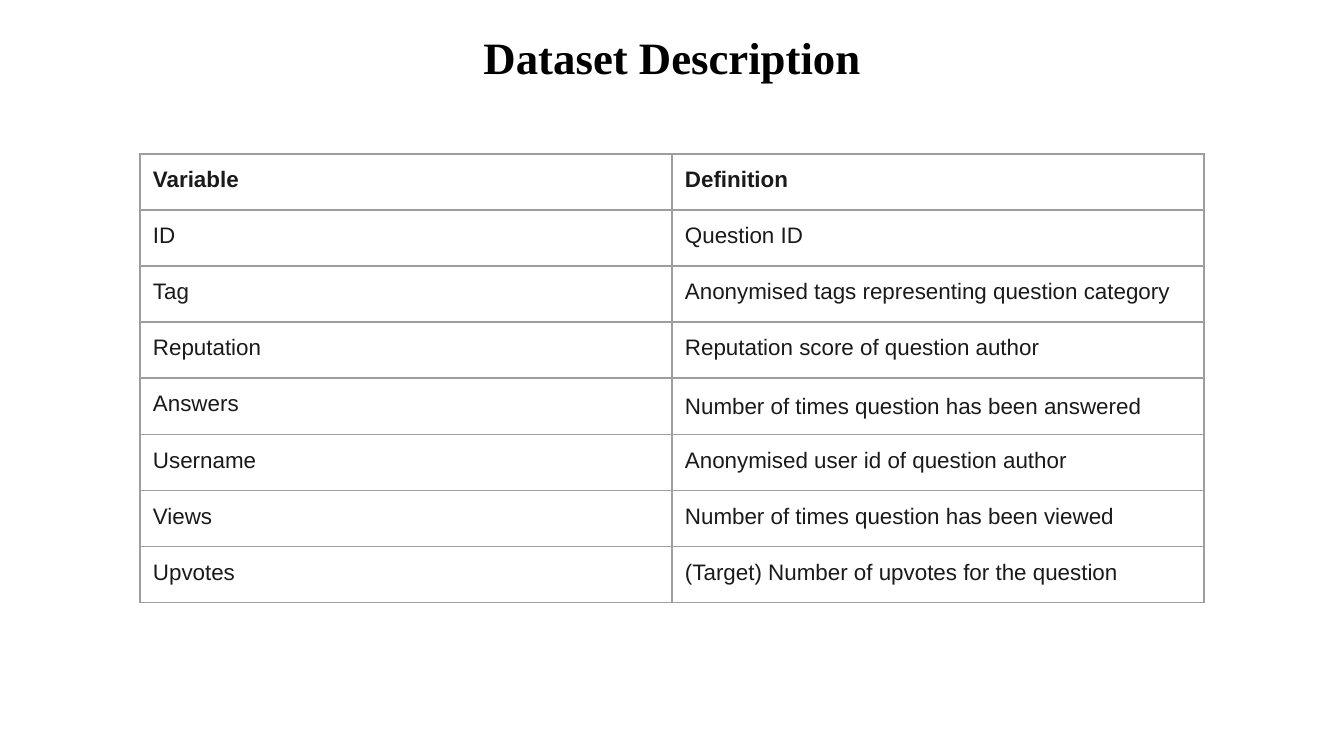
from pptx import Presentation
from pptx.dml.color import RGBColor
from pptx.enum.text import MSO_ANCHOR as Anchor, PP_ALIGN as Align
from pptx.oxml import parse_xml
from pptx.oxml.ns import nsdecls
from pptx.util import Pt

EMU_PER_PIXEL = 914400 / 134.4
BLACK = RGBColor(0x00, 0x00, 0x00)
INK = RGBColor(0x1A, 0x1A, 0x1A)
WHITE = RGBColor(0xFF, 0xFF, 0xFF)
GRID = RGBColor(0x9E, 0x9E, 0x9E)
INSET = 13

TITLE_FONT = {"name": "Times New Roman", "size": Pt(24), "bold": True}
CELL_FONT = {"name": "Arial", "size": Pt(12)}
SPACED = {"line_spacing": 1.15, "space_before": Pt(12), "space_after": Pt(12)}
MARGINS = ("margin_left", "margin_top", "margin_right", "margin_bottom")

VARIABLES = [
    ("Variable", "Definition"),
    ("ID", "Question ID"),
    ("Tag", "Anonymised tags representing question category"),
    ("Reputation", "Reputation score of question author"),
    ("Answers", "Number of times question has been answered"),
    ("Username", "Anonymised user id of question author"),
    ("Views", "Number of times question has been viewed"),
    ("Upvotes", "(Target) Number of upvotes for the question"),
]
SPACED_CELL = (4, 1)


def px(pixels):
    return round(pixels * EMU_PER_PIXEL)


def set_all(target, values):
    for name, value in values.items():
        setattr(target, name, value)


def write(para, text, font, color, layout):
    set_all(para, layout)
    span = para.add_run()
    span.text = text
    set_all(span.font, font)
    span.font.color.rgb = color


def add_title(page, text):
    box = page.shapes.add_textbox(px(46), 0, px(1252), px(149))
    frame = box.text_frame
    set_all(frame, {"word_wrap": True, "vertical_anchor": Anchor.TOP,
                    **dict.fromkeys(MARGINS, px(INSET))})
    layout = {"alignment": Align.CENTER, "line_spacing": 1.32,
              "space_before": Pt(15)}
    write(frame.paragraphs[0], text, TITLE_FONT, BLACK, layout)


def add_borders(cell):
    props = cell._tc.get_or_add_tcPr()
    for index, side in enumerate(("lnL", "lnR", "lnT", "lnB")):
        # Border lines come before the fill in the cell properties
        props.insert(index, parse_xml(
            f'<a:{side} {nsdecls("a")} w="{Pt(0.75)}"><a:solidFill>'
            f'<a:srgbClr val="{GRID}"/></a:solidFill></a:{side}>'))


def add_variable_table(page, rows, left, top, column_width, row_height):
    count = len(rows[0])
    table = page.shapes.add_table(
        len(rows), count, px(left), px(top),
        px(column_width * count), px(row_height * len(rows))).table
    set_all(table, {"first_row": False, "horz_banding": False})
    for r, texts in enumerate(rows):
        for c, text in enumerate(texts):
            cell = table.cell(r, c)
            set_all(cell, dict.fromkeys(MARGINS, px(INSET)))
            cell.fill.solid()
            cell.fill.fore_color.rgb = WHITE
            add_borders(cell)
            layout = SPACED if (r, c) == SPACED_CELL else {}
            write(cell.text_frame.paragraphs[0], text,
                  {**CELL_FONT, "bold": r == 0}, INK, layout)


def main():
    deck = Presentation()
    set_all(deck, {"slide_width": px(1344), "slide_height": px(756)})
    page = deck.slides.add_slide(deck.slide_layouts[6])

    # Heading
    add_title(page, "Dataset Description")
    # Variables and their definitions
    add_variable_table(page, VARIABLES, 140, 154, 532, 56)

    deck.save("out.pptx")


main()
